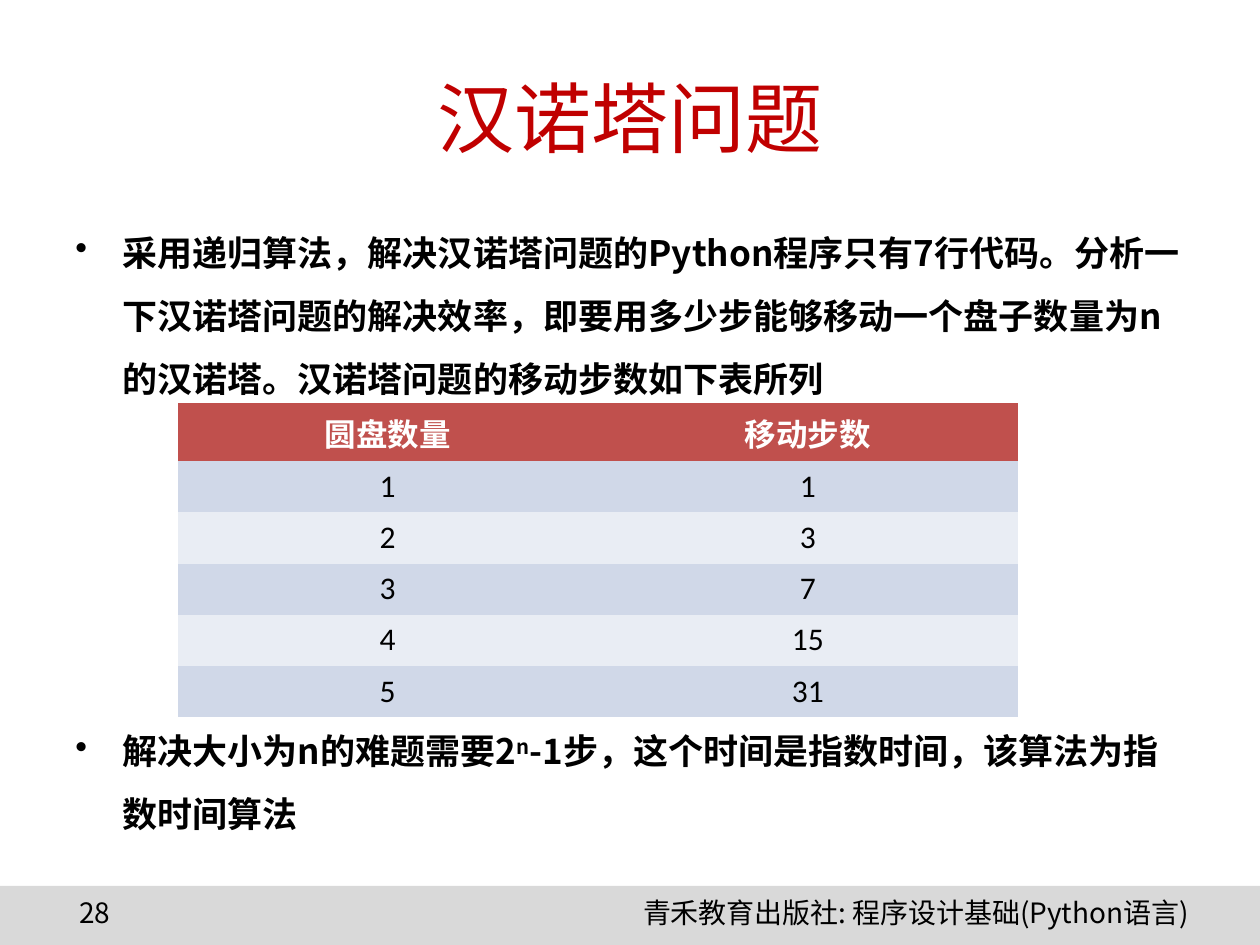
from lxml import etree
from pptx import Presentation
from pptx.dml.color import RGBColor
from pptx.enum.shapes import MSO_SHAPE
from pptx.enum.text import MSO_ANCHOR, PP_ALIGN
from pptx.oxml.ns import qn
from pptx.util import Cm, Pt

RECT = MSO_SHAPE.RECTANGLE
MID = MSO_ANCHOR.MIDDLE
LEFT, MIDDLE, RIGHT = PP_ALIGN.LEFT, PP_ALIGN.CENTER, PP_ALIGN.RIGHT

BLACK = RGBColor(0, 0, 0)
WHITE = RGBColor(255, 255, 255)
RED = RGBColor(0xC0, 0, 0)
BRICK = RGBColor(0xC0, 0x50, 0x4D)
GREY = RGBColor(0xD9, 0xD9, 0xD9)
BANDS = [RGBColor(0xE9, 0xED, 0xF4), RGBColor(0xD0, 0xD8, 0xE8)]
SANS = "Noto Sans CJK SC"

HEAD = {"name": SANS, "size": Pt(44), "bold": False}
BODY = {"name": SANS, "size": Pt(20), "bold": True}
FOOT = {"name": SANS, "size": Pt(16), "bold": False}
CELL = {"name": "Calibri", "size": Pt(18), "bold": False}


def write(para, text, look, color=BLACK):
    run = para.add_run()
    run.text = text
    for key, value in look.items():
        setattr(run.font, key, value)
    run.font.color.rgb = color
    etree.SubElement(run.font._element, qn("a:ea"), typeface=SANS)
    return run


def add_box(left, top, width, height):
    frame = slide.shapes.add_textbox(Cm(left), Cm(top), Cm(width), Cm(height)).text_frame
    frame.word_wrap = True
    return frame


deck = Presentation()
deck.slide_width, deck.slide_height = Cm(25.4), Cm(19.05)
slide = deck.slides.add_slide(deck.slide_layouts[5])

band = slide.shapes.add_shape(RECT, 0, Cm(17.86), Cm(25.4), Cm(1.19))
band.shadow.inherit = False
band.fill.solid()
band.fill.fore_color.rgb = GREY
band.line.fill.background()

footers = [
    (8.26, 15.95, RIGHT, "青禾教育出版社: 程序设计基础(Python语言)"),
    (1.35, 3.45, LEFT, "28"),
]
for left, width, align, text in footers:
    para = add_box(left, 17.93, width, 1.02).paragraphs[0]
    para.alignment = align
    write(para, text, FOOT)

title = slide.shapes.title
title.left, title.top, title.width, title.height = Cm(1.27), Cm(0.76), Cm(22.86), Cm(3.18)
title.text_frame.vertical_anchor = MID
para = title.text_frame.paragraphs[0]
para.alignment = MIDDLE
write(para, "汉诺塔问题", HEAD, RED)

points = [
    (5, ["采用递归算法，解决汉诺塔问题的Python程序只有7行代码。分析一下汉诺塔问题的解决效率，"
         "即要用多少步能够移动一个盘子数量为n的汉诺塔。汉诺塔问题的移动步数如下表所列"]),
    (177, ["解决大小为n的难题需要2", "n", "-1步，这个时间是指数时间，该算法为指数时间算法"]),
]
frame = add_box(1.27, 4.11, 22.86, 13.11)
for i, (gap, parts) in enumerate(points):
    para = frame.add_paragraph() if i else frame.paragraphs[0]
    para.line_spacing = 1.5
    para.space_before = Pt(gap)
    props = para._p.get_or_add_pPr()
    props.set("marL", str(Cm(0.95)))
    props.set("indent", str(Cm(-0.95)))
    tint = etree.SubElement(props, qn("a:buClr"))
    etree.SubElement(tint, qn("a:srgbClr"), val=str(BLACK))
    etree.SubElement(props, qn("a:buChar"), char="•")
    for j, part in enumerate(parts):
        run = write(para, part, BODY)
        if j == 1:
            run.font._element.set("baseline", "30000")

rows = [("圆盘数量", "移动步数")] + [(str(n), str(2**n - 1)) for n in range(1, 6)]
table = slide.shapes.add_table(len(rows), 2, Cm(3.58), Cm(8.13), Cm(16.94), Cm(6.35)).table
for r, row in enumerate(rows):
    table.rows[r].height = Cm(1.03 if r else 1.17)
    for c, text in enumerate(row):
        cell = table.cell(r, c)
        cell.fill.solid()
        cell.fill.fore_color.rgb = BANDS[r % 2] if r else BRICK
        para = cell.text_frame.paragraphs[0]
        para.alignment = MIDDLE
        write(para, text, {**CELL, "bold": r == 0}, BLACK if r else WHITE)
for props in table._tbl.iter(qn("a:tcPr")):
    for i, side in enumerate(("lnL", "lnR", "lnT", "lnB")):
        edge = etree.Element(qn("a:" + side), w="0")
        etree.SubElement(edge, qn("a:noFill"))
        props.insert(i, edge)

deck.save("out.pptx")
